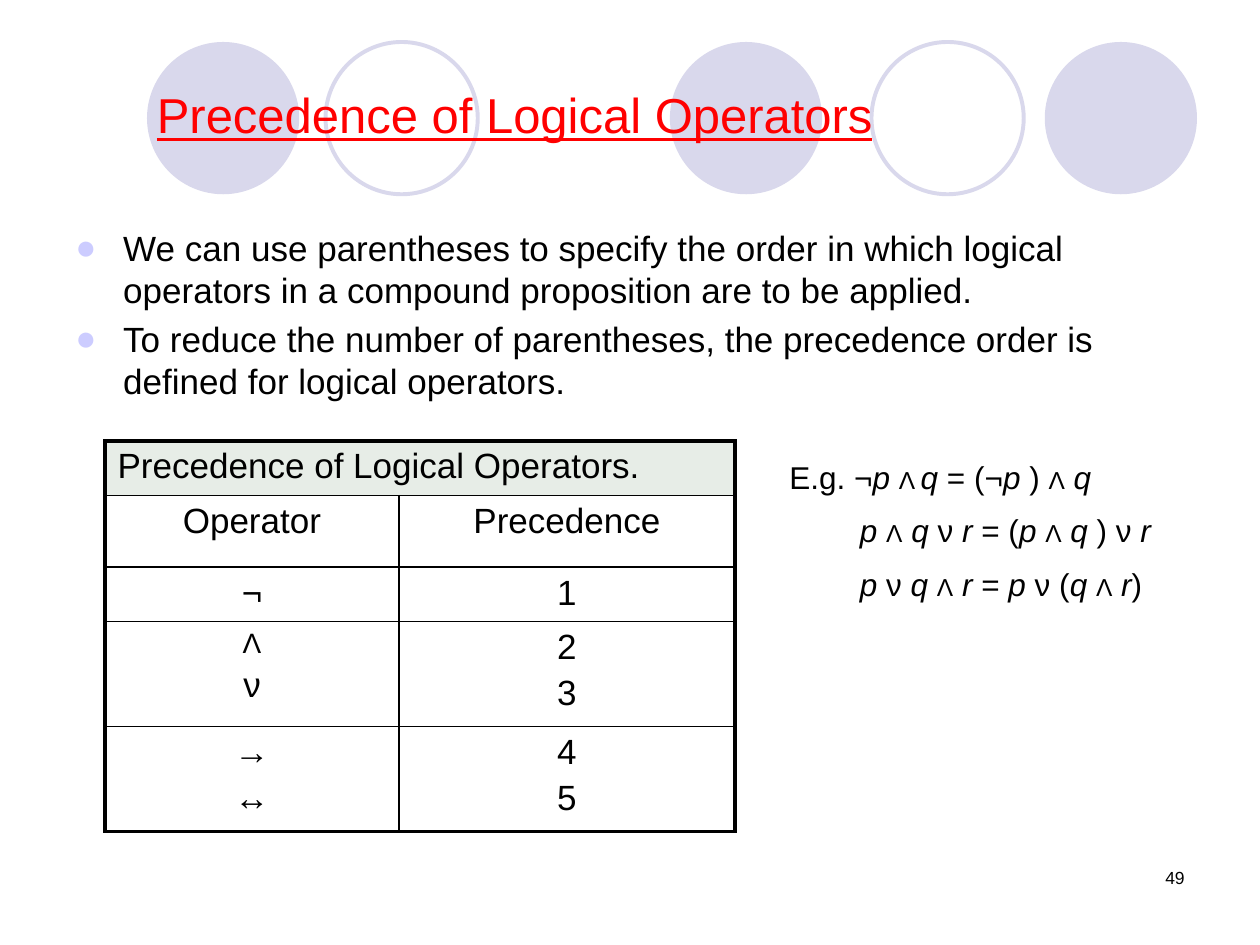
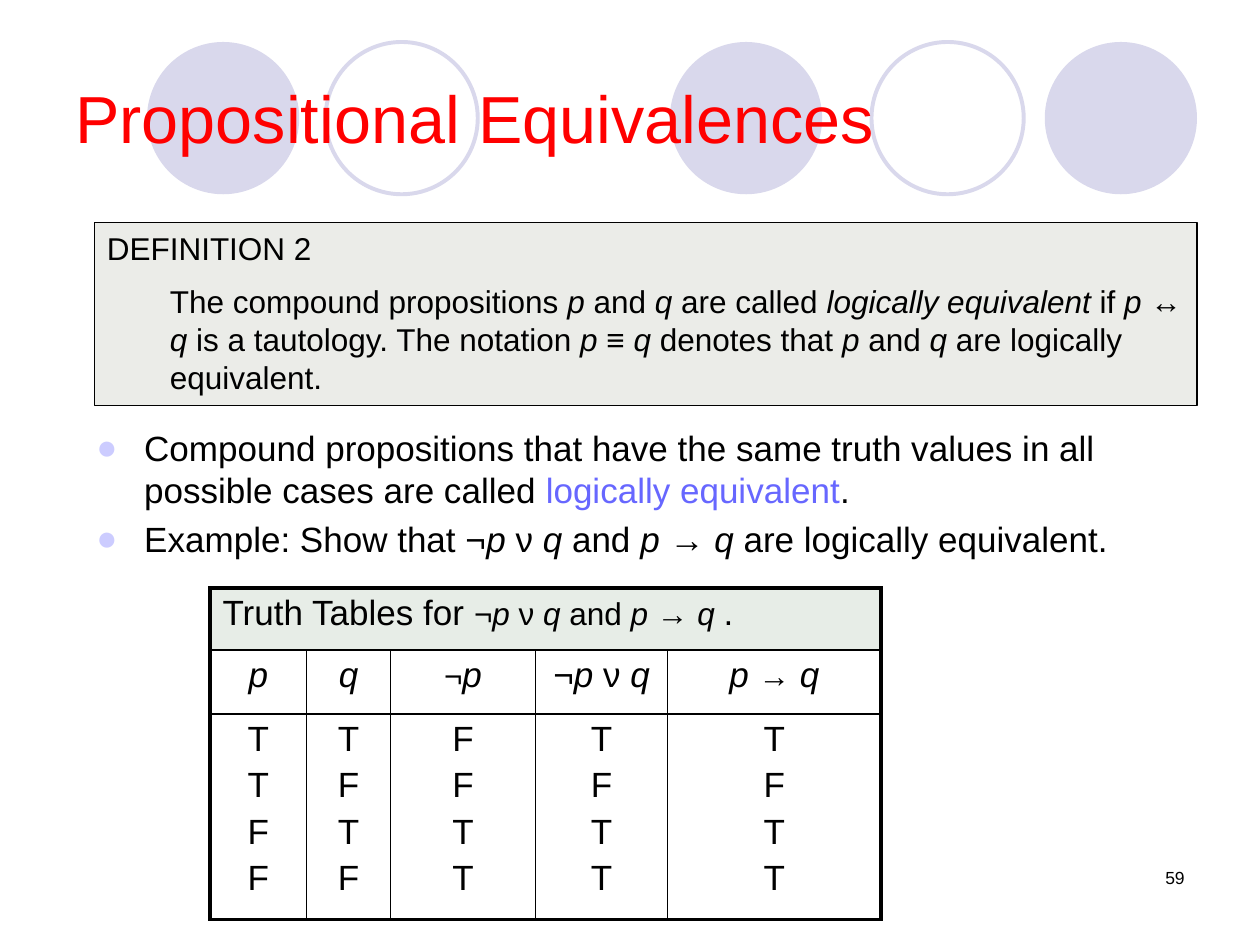
from pptx import Presentation
from pptx.dml.color import RGBColor
from pptx.enum.shapes import MSO_SHAPE
from pptx.enum.text import MSO_ANCHOR, PP_ALIGN
from pptx.oxml.ns import qn
from pptx.util import Inches, Pt
from lxml import etree

OVAL, RECTANGLE = MSO_SHAPE.OVAL, MSO_SHAPE.RECTANGLE
LEFT, CENTER, RIGHT = PP_ALIGN.LEFT, PP_ALIGN.CENTER, PP_ALIGN.RIGHT
TOP, MIDDLE = MSO_ANCHOR.TOP, MSO_ANCHOR.MIDDLE

FONT = "Arial"
BLACK, RED, ACCENT = "000000", "FF0000", "6767FF"
CIRCLE, BULLET = "D9D8EC", "CCCCFF"
TABLE_HEAD, DEFINITION = "E7EDE7", "EBECE8"
ITALIC, SMALL, HIGHLIGHT = "*", "~", "|"
THICK, THIN = 2.25, 1
CIRCLE_SIZE = 14.5
SOLID_CIRCLES, RING_CIRCLES = (14, 63.8, 99.5), (31, 83)
NUMBER_BOX = (86, 82, 28, 6)


def units(count):
    return Inches(count / 12)


def grid(box):
    return [units(side) for side in box]


def color(value):
    return RGBColor.from_string(value)


def paint(fill, value):
    fill.solid()
    fill.fore_color.rgb = color(value)


def add_run(paragraph, text, marks, small):
    run = paragraph.add_run()
    run.text = text
    if ITALIC in marks:
        run.font.italic = True
    if SMALL in marks:
        run.font.size = Pt(small)
    if HIGHLIGHT in marks:
        run.font.color.rgb = color(ACCENT)


def add_marked_runs(paragraph, text, small):
    marks, piece = set(), ""
    for char in text:
        if char in (ITALIC, SMALL, HIGHLIGHT):
            if piece:
                add_run(paragraph, piece, marks, small)
            marks, piece = marks ^ {char}, ""
        else:
            piece += char
    if piece:
        add_run(paragraph, piece, marks, small)


def indent(paragraph, left, first=0):
    properties = paragraph._p.get_or_add_pPr()
    properties.set("marL", str(Inches(left)))
    properties.set("indent", str(Inches(first)))
    return properties


def add_bullet(paragraph):
    properties = indent(paragraph, 0.38, -0.38)
    bullet_color = etree.SubElement(properties, qn("a:buClr"))
    etree.SubElement(bullet_color, qn("a:srgbClr"), val=BULLET)
    etree.SubElement(properties, qn("a:buFont"), typeface=FONT)
    etree.SubElement(properties, qn("a:buChar"), char="●")


def write(frame, lines, size=20, small=18, ink=BLACK, align=LEFT,
          gap=4, bullets=False, hang=0):
    for index, line in enumerate(lines):
        paragraph = frame.paragraphs[0] if index == 0 else frame.add_paragraph()
        if bullets:
            add_bullet(paragraph)
        if index:
            paragraph.space_before = Pt(gap)
            if hang:
                indent(paragraph, hang)
        paragraph.alignment = align
        paragraph.font.name = FONT
        paragraph.font.size = Pt(size)
        paragraph.font.color.rgb = color(ink)
        add_marked_runs(paragraph, line, small)


def add_text(slide, box, lines, anchor=TOP, **style):
    frame = slide.shapes.add_textbox(*grid(box)).text_frame
    frame.word_wrap = True
    frame.vertical_anchor = anchor
    write(frame, lines, **style)
    return frame


def add_circle(slide, left, solid):
    circle = slide.shapes.add_shape(OVAL, *grid((left, 4, CIRCLE_SIZE, CIRCLE_SIZE)))
    circle.shadow.inherit = False
    if solid:
        paint(circle.fill, CIRCLE)
        circle.line.fill.background()
    else:
        circle.fill.background()
        paint(circle.line.fill, CIRCLE)
        circle.line.width = Pt(THICK)


def new_slide(deck, number):
    slide = deck.slides.add_slide(deck.slide_layouts[6])
    for left in SOLID_CIRCLES:
        add_circle(slide, left, True)
    for left in RING_CIRCLES:
        add_circle(slide, left, False)
    add_text(slide, NUMBER_BOX, [number], size=10, align=RIGHT)
    return slide


def add_borders(cell, outer_sides):
    properties = cell._tc.get_or_add_tcPr()
    for side in "LRTB":
        width = THICK if side in outer_sides else THIN
        border = etree.SubElement(properties, qn("a:ln" + side), w=str(Pt(width)))
        fill = etree.SubElement(border, qn("a:solidFill"))
        etree.SubElement(fill, qn("a:srgbClr"), val=BLACK)


def add_titled_table(slide, corner, widths, heights, heading, rows, small):
    box = (*corner, sum(widths), sum(heights))
    table = slide.shapes.add_table(len(heights), len(widths), *grid(box)).table
    table.first_row = table.horz_banding = False
    for column, width in zip(table.columns, widths):
        column.width = units(width)
    for row, height in zip(table.rows, heights):
        row.height = units(height)
    last_row, last_column = len(heights) - 1, len(widths) - 1

    title = table.cell(0, 0)
    title.merge(table.cell(0, last_column))
    write(title.text_frame, [heading])
    add_borders(title, "LRT")
    paint(title.fill, TABLE_HEAD)

    for row_index, row in enumerate(rows, 1):
        for column_index, lines in enumerate(row):
            cell = table.cell(row_index, column_index)
            write(cell.text_frame, lines, small=small, align=CENTER)
            outer_sides = (("L" if column_index == 0 else "")
                           + ("R" if column_index == last_column else "")
                           + ("B" if row_index == last_row else ""))
            add_borders(cell, outer_sides)
            cell.fill.background()


def add_definition(slide, box, lines):
    panel = slide.shapes.add_shape(RECTANGLE, *grid(box))
    panel.shadow.inherit = False
    paint(panel.fill, DEFINITION)
    paint(panel.line.fill, BLACK)
    panel.line.width = Pt(0.75)
    panel.text_frame.word_wrap = True
    panel.text_frame.vertical_anchor = TOP
    write(panel.text_frame, lines, size=18, gap=9, hang=0.5)


def precedence_slide(deck):
    slide = new_slide(deck, "49")
    title = add_text(slide, (6, 7.5, 86, 6.8), ["Precedence of Logical Operators"],
                     size=28, ink=RED, align=CENTER)
    title.paragraphs[0].font.underline = True
    add_text(slide, (6, 21, 107, 33), [
        "We can use parentheses to specify the order in which logical operators "
        "in a compound proposition are to be applied.",
        "To reduce the number of parentheses, the precedence order is defined "
        "for logical operators.",
    ], bullets=True)
    add_titled_table(
        slide, (10, 42), (28, 32), (5.2, 6.8, 5.2, 10, 10),
        "Precedence of Logical Operators.",
        [(["Operator"], ["Precedence"]),
         (["¬"], ["1"]),
         (["~Λ~", "ν"], ["2", "3"]),
         (["→", "↔"], ["4", "5"])],
        small=16)
    add_text(slide, (74, 43, 44, 15.6), [
        "E.g. ¬*p *~Λ ~*q* = (¬*p* ) ~Λ~ *q*",
        "*p *~Λ~ *q* ν *r *= (*p *~Λ~ *q* ) ν *r*",
        "*p* ν *q *~Λ~ *r* = *p* ν (*q *~Λ~ *r*)",
    ], size=18, small=14, gap=9, hang=0.56)


def equivalence_slide(deck):
    slide = new_slide(deck, "59")
    add_text(slide, (6, 3.6, 108, 15), ["Propositional Equivalences"],
             anchor=MIDDLE, size=38, ink=RED)
    add_text(slide, (8, 40, 109, 17), [
        "Compound propositions that have the same truth values in all possible "
        "cases are called |logically equivalent|.",
        "Example: Show that ¬*p* ν *q* and *p* → *q* are logically equivalent.",
    ], bullets=True)
    add_titled_table(
        slide, (20, 56), (9.2, 8, 13.8, 12.6, 20.3), (5.9, 6.1, 19.6),
        "Truth Tables for ~¬*p* ν *q* and *p* → *q *~.",
        [(["*p*"], ["*q*"], ["~¬~*p*"], ["¬*p* ν *q*"], ["*p *~→~ *q*"]),
         ("TTFF", "TFTF", "FFTT", "TFTT", "TFTT")],
        small=18)
    add_definition(slide, (9, 21.2, 105, 17.4), [
        "DEFINITION 2",
        "The compound propositions *p* and *q* are called *logically equivalent* "
        "if *p *↔ *q* is a tautology. The notation *p* ≡ *q* denotes that "
        "*p* and *q* are logically equivalent.",
    ])


def main():
    deck = Presentation()
    deck.slide_width, deck.slide_height = units(120), units(90)
    precedence_slide(deck)
    equivalence_slide(deck)
    deck.save("out.pptx")


if __name__ == "__main__":
    main()
